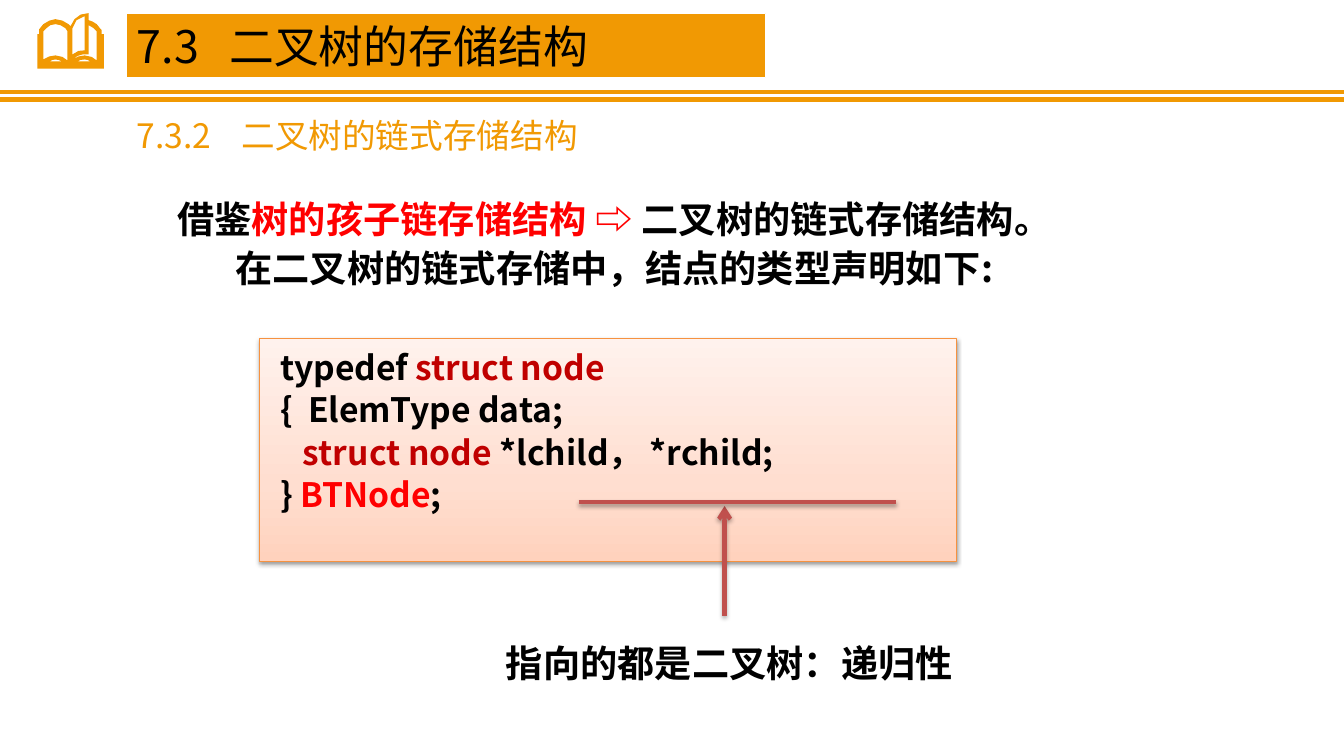
from dataclasses import dataclass

from lxml import etree
from pptx import Presentation
from pptx.dml.color import RGBColor
from pptx.enum.shapes import MSO_CONNECTOR, MSO_SHAPE
from pptx.enum.text import MSO_ANCHOR, PP_ALIGN
from pptx.oxml import parse_xml
from pptx.oxml.ns import nsdecls, qn
from pptx.util import Cm, Pt

LEFT, CENTER, JUSTIFY = PP_ALIGN.LEFT, PP_ALIGN.CENTER, PP_ALIGN.JUSTIFY
TOP, MIDDLE = MSO_ANCHOR.TOP, MSO_ANCHOR.MIDDLE
RECTANGLE, STRAIGHT = MSO_SHAPE.RECTANGLE, MSO_CONNECTOR.STRAIGHT


@dataclass
class Theme:
    font: str = "Noto Sans CJK SC"
    orange: str = "F19903"
    black: str = "000000"
    white: str = "FFFFFF"
    red: str = "FF0000"
    dark_red: str = "C00000"
    pointer: str = "C0504D"
    code_border: str = "F69240"
    code_gradient: tuple = ((0, "FFD2BD"), (35, "FFDED0"), (100, "FFF2ED"))
    title_size: float = 32
    heading_size: float = 24
    code_size: float = 24
    body_size: float = 26.6


theme = Theme()


def write(shape, lines, size, bold=True, align=LEFT, anchor=MIDDLE, gap=None, tab=None):
    """Fill a shape with lines, each a list of (text, colour) runs."""
    frame = shape.text_frame
    frame.word_wrap = True
    frame.vertical_anchor = anchor
    for index, line in enumerate(lines):
        paragraph = frame.paragraphs[0] if index == 0 else frame.add_paragraph()
        paragraph.alignment = align
        if gap:
            paragraph.line_spacing = 0.8
            paragraph.space_before = Pt(gap if index else 0)
        if tab:
            tabs = etree.SubElement(paragraph._p.get_or_add_pPr(), qn("a:tabLst"))
            etree.SubElement(tabs, qn("a:tab"), pos=str(tab), algn="l")
        for text, color in line:
            run = paragraph.add_run()
            run.text = text
            run.font.size = Pt(size)
            run.font.bold = bold
            run.font.name = theme.font
            run.font.color.rgb = RGBColor.from_string(color)
            etree.SubElement(run._r.get_or_add_rPr(), qn("a:ea"), typeface=theme.font)


def set_shadow(shape, opacity=0, distance=0):
    """Give a shape a soft shadow below it, or none at zero opacity."""
    shadow = (
        f'<a:outerShdw blurRad="{Pt(3.1)}" dist="{Pt(distance)}" dir="5400000" rotWithShape="0">'
        f'<a:srgbClr val="{theme.black}"><a:alpha val="{opacity * 1000}"/></a:srgbClr>'
        "</a:outerShdw>"
    ) if opacity else ""
    shape._element.spPr.append(
        parse_xml(f'<a:effectLst {nsdecls("a")}>{shadow}</a:effectLst>'))


prs = Presentation()
prs.slide_width, prs.slide_height = Cm(33.87), Cm(19.05)
slide = prs.slides.add_slide(prs.slide_layouts[6])
shapes = slide.shapes

# Double rule under the header
for rule_y in (2.31, 2.51):
    rule = shapes.add_connector(STRAIGHT, 0, Cm(rule_y), Cm(33.87), Cm(rule_y))
    rule.line.color.rgb = RGBColor.from_string(theme.orange)
    rule.line.width = Pt(3)
    set_shadow(rule)

# Open book, outlined in hundredths of an inch
book_outline = [
    (101, 34), (101, 30), (100, 29), (96, 24), (92, 21.5), (88, 20), (88, 13),
    (80, 14.5), (74, 19), (70, 26), (68, 24), (62, 20.5), (55, 19), (49, 20.5),
    (43, 24), (39, 29), (39, 34), (37, 34), (37, 68), (103, 68), (103, 34)]
book_openings = [
    [(49, 61), (52, 59.5), (55, 59), (58, 59.5), (62, 61)],
    [(67, 60), (62, 56.5), (55, 55), (49, 56), (43, 59), (43, 31), (46, 28),
     (50, 25), (55, 24), (60, 25), (65, 28), (67, 31)],
    [(84, 16), (84, 50), (78, 50.5), (72, 54), (72, 28), (76, 20)],
    [(77, 61), (80, 59.5), (84, 59), (87, 59.5), (90, 61)],
    [(96, 60), (91, 56.5), (84, 55), (78, 56), (72, 59), (77, 55.5), (82, 54),
     (88, 54), (88, 25), (93, 28), (96, 31)],
]
outline, *openings = [
    [(x * 10, y * 10) for x, y in contour] for contour in [book_outline, *book_openings]]
builder = shapes.build_freeform(*outline[0], scale=Cm(2.54) / 1000)
builder.add_line_segments(outline[1:], close=True)
for opening in openings:
    builder.move_to(*opening[0])
    builder.add_line_segments(opening[1:], close=True)
book = builder.convert_to_shape()
book.shadow.inherit = False
book.fill.solid()
book.fill.fore_color.rgb = RGBColor.from_string(theme.orange)
book.line.fill.background()

# Code panel
code = shapes.add_shape(RECTANGLE, Cm(6.53), Cm(8.53), Cm(17.58), Cm(5.61))
code.fill.gradient()
code.fill.gradient_angle = 90
stops = code._element.spPr.find(qn("a:gradFill")).find(qn("a:gsLst"))
for stop in list(stops):
    stops.remove(stop)
for position, color in theme.code_gradient:
    stop = etree.SubElement(stops, qn("a:gs"), pos=str(position * 1000))
    etree.SubElement(stop, qn("a:srgbClr"), val=color)
code.line.color.rgb = RGBColor.from_string(theme.code_border)
code.line.width = Pt(0.75)
set_shadow(code, 38, 1.6)
code.text_frame.margin_left = code.text_frame.margin_right = Cm(0.53)
code.text_frame.margin_top = code.text_frame.margin_bottom = Cm(0.41)
write(code, [
    [("typedef ", theme.black), ("struct node", theme.dark_red)],
    [("{  ElemType data;", theme.black)],
    [("   struct node ", theme.dark_red), ("*lchild， *rchild;", theme.black)],
    [("} ", theme.black), ("BTNode", theme.red), (";", theme.black)],
], theme.code_size, align=JUSTIFY, anchor=TOP, gap=7.2)

# Introduction
intro = shapes.add_textbox(Cm(3.61), Cm(5.05), Cm(23.75), Cm(2.64))
write(intro, [
    [("借鉴", theme.black), ("树的孩子链存储结构 ⇨", theme.red),
     (" 二叉树的链式存储结构。", theme.black)],
    [("在二叉树的链式存储中，结点的类型声明如下:", theme.black)],
], theme.body_size, align=CENTER, anchor=TOP, gap=8.8)

# Remark on the two child pointers
remark = shapes.add_textbox(Cm(12.09), Cm(16), Cm(12.6), Cm(1.4))
write(remark, [[("指向的都是二叉树：递归性", theme.black)]], theme.body_size, align=CENTER)

arrow = shapes.add_connector(STRAIGHT, Cm(18.26), Cm(15.52), Cm(18.26), Cm(12.75))
underline = shapes.add_connector(STRAIGHT, Cm(14.58), Cm(12.65), Cm(22.58), Cm(12.65))
for mark in (arrow, underline):
    mark.line.color.rgb = RGBColor.from_string(theme.pointer)
    mark.line.width = Pt(3)
    set_shadow(mark, 35, 1.8)
etree.SubElement(arrow.line._get_or_add_ln(), qn("a:tailEnd"), type="arrow")

# Title bar and section heading
title = shapes.add_shape(RECTANGLE, Cm(3.2), Cm(0.33), Cm(16.1), Cm(1.63))
title.shadow.inherit = False
title.fill.solid()
title.fill.fore_color.rgb = RGBColor.from_string(theme.orange)
title.line.color.rgb = RGBColor.from_string(theme.white)
title.line.width = Pt(0.75)
write(title, [[("7.3\t二叉树的存储结构", theme.black)]],
      theme.title_size, bold=False, tab=Cm(2.33))

heading = shapes.add_textbox(Cm(3.2), Cm(2.77), Cm(16.08), Cm(1.27))
write(heading, [[("7.3.2\t二叉树的链式存储结构", theme.orange)]],
      theme.heading_size, bold=False, tab=Cm(2.64))

prs.save("out.pptx")
